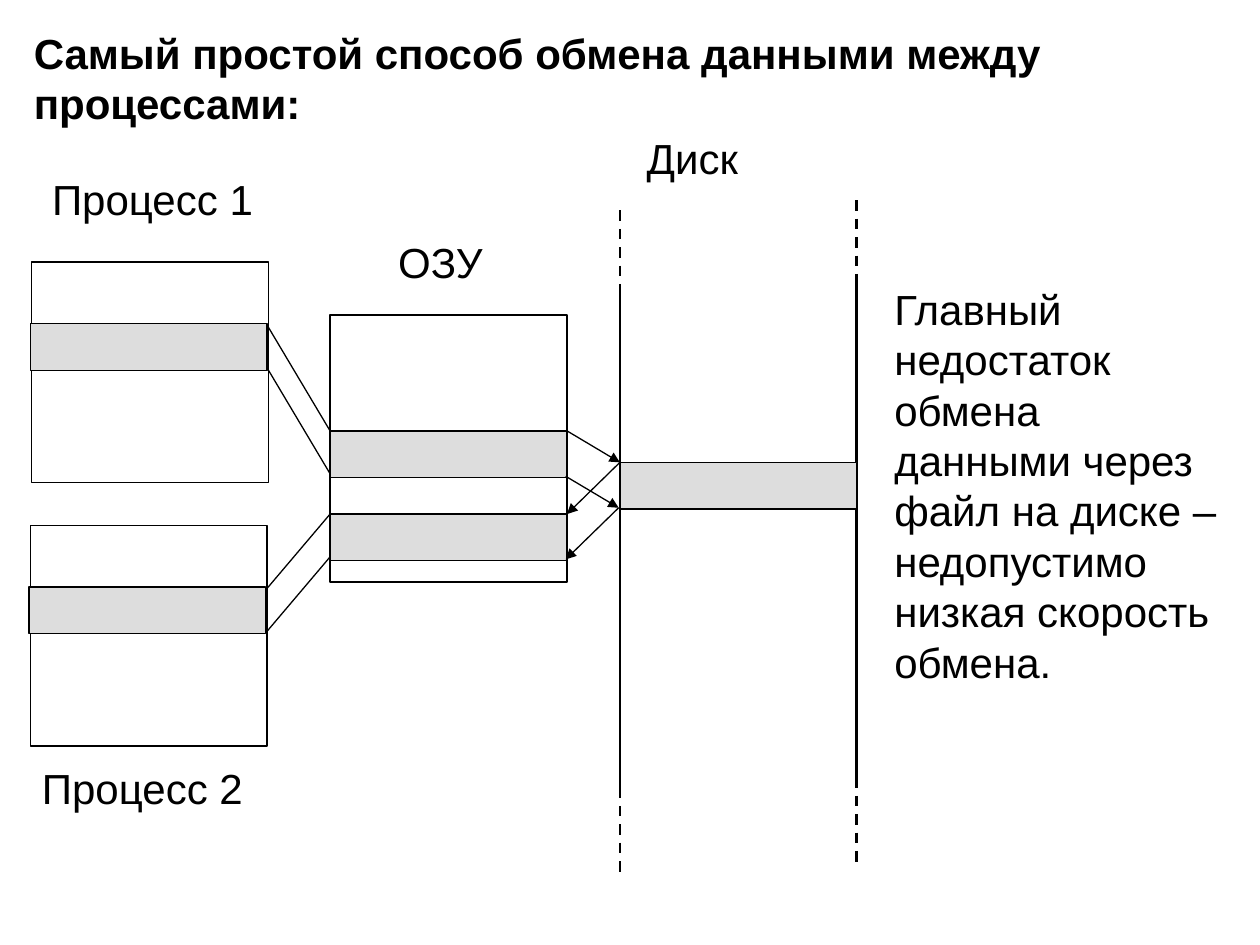
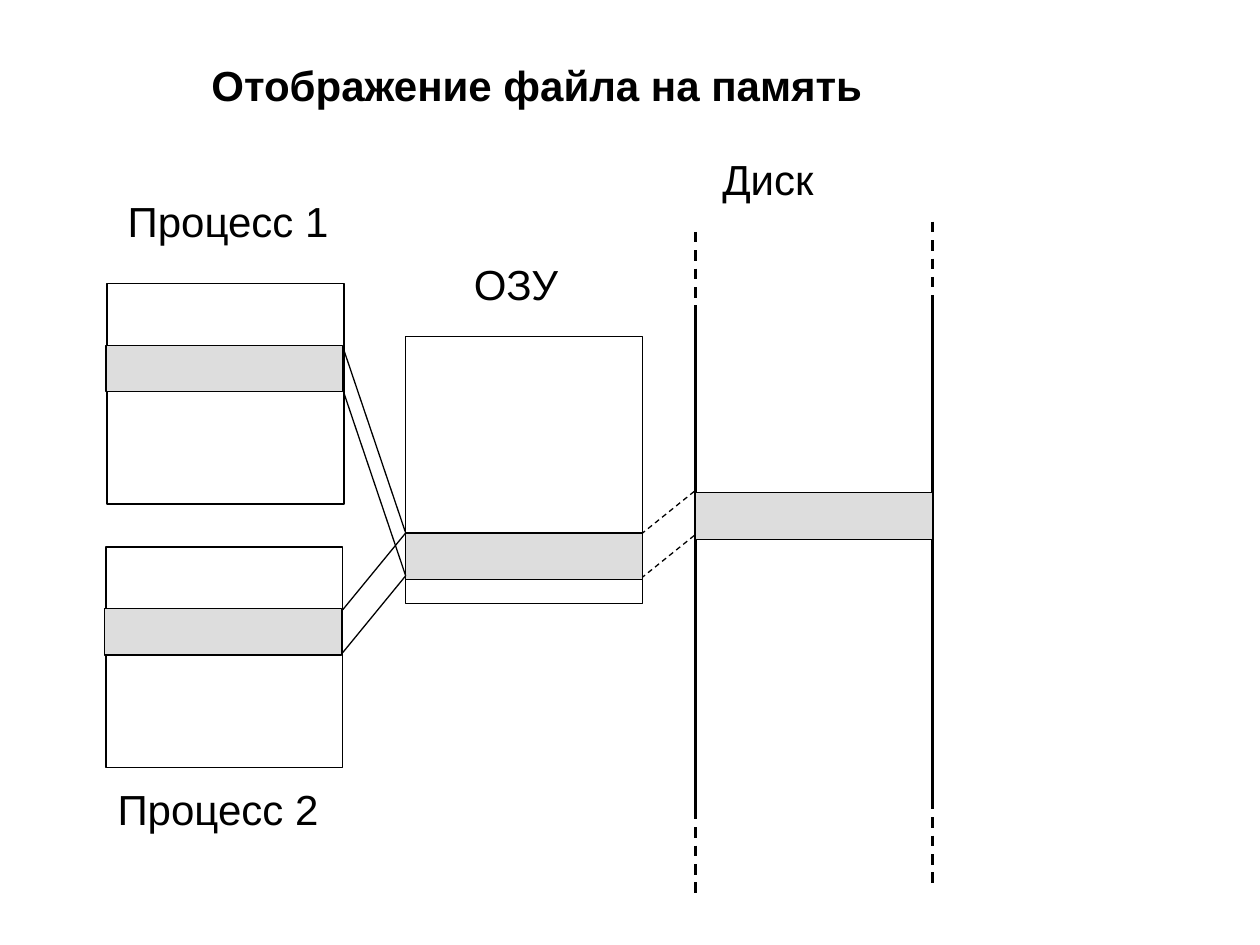
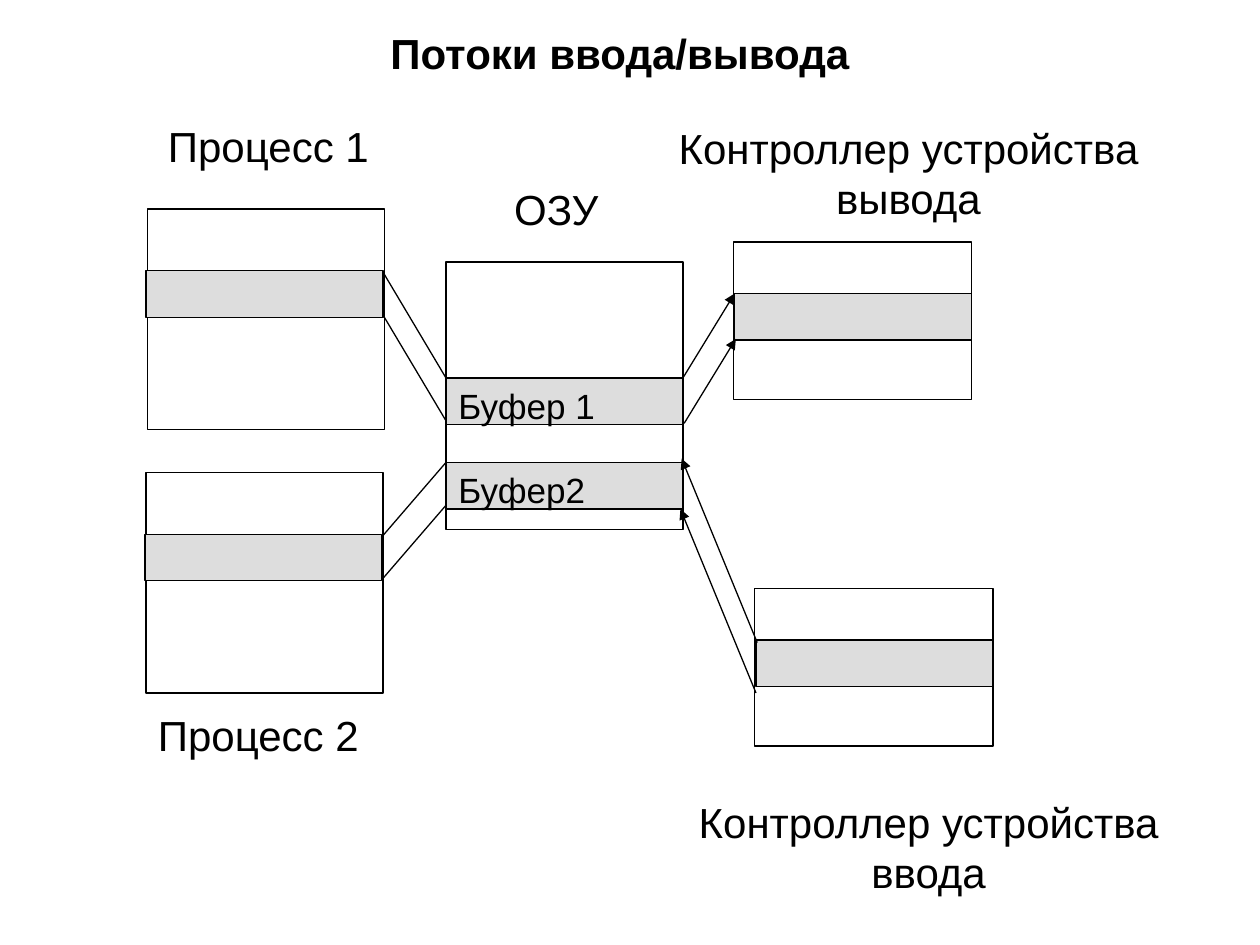
import pptx
import pptx.util
import pptx.dml.color
import pptx.enum.dml
import pptx.enum.shapes
import pptx.enum.text
import pptx.oxml.ns
import lxml.etree

Inches = pptx.util.Inches
Pt = pptx.util.Pt
RGBColor = pptx.dml.color.RGBColor
BLACK = RGBColor(0x00, 0x00, 0x00)
WHITE = RGBColor(0xFF, 0xFF, 0xFF)
GRAY = RGBColor(0xDD, 0xDD, 0xDD)
FONT = "Arial"
LEFT = pptx.enum.text.PP_ALIGN.LEFT
CENTER = pptx.enum.text.PP_ALIGN.CENTER
WIDE = 1.88
BAND = 0.37
STEP = 0.34


def box(slide, area, text="", fill=None, edge=False, size=24, bold=False, align=CENTER):
    place = [Inches(n) for n in area]
    if edge:
        shape = slide.shapes.add_shape(pptx.enum.shapes.MSO_SHAPE.RECTANGLE, *place)
        shape.shadow.inherit = False
        shape.line.color.rgb = BLACK
        shape.line.width = Pt(0.75)
        if fill is None:
            shape.fill.background()
        else:
            shape.fill.solid()
            shape.fill.fore_color.rgb = fill
    else:
        shape = slide.shapes.add_textbox(*place)
        shape.text_frame.auto_size = pptx.enum.text.MSO_AUTO_SIZE.SHAPE_TO_FIT_TEXT
    if text:
        frame = shape.text_frame
        frame.word_wrap = True
        frame.vertical_anchor = pptx.enum.text.MSO_ANCHOR.TOP
        frame.text = text
        para = frame.paragraphs[0]
        para.alignment = align
        para.space_before = Pt(size * 0.625)
        font = para.runs[0].font
        font.name = FONT
        font.size = Pt(size)
        font.bold = bold
        font.color.rgb = BLACK


def link(slide, x1, y1, x2, y2, width=0.75, dash=False, arrow=False):
    line = slide.shapes.add_connector(
        pptx.enum.shapes.MSO_CONNECTOR.STRAIGHT,
        Inches(x1), Inches(y1), Inches(x2), Inches(y2))
    line.line.color.rgb = BLACK
    line.line.width = Pt(width)
    if dash:
        line.line.dash_style = pptx.enum.dml.MSO_LINE.DASH
    props = line._element.spPr
    if arrow:
        edge = props.find(pptx.oxml.ns.qn("a:ln"))
        lxml.etree.SubElement(edge, pptx.oxml.ns.qn("a:tailEnd"), type="triangle")
    lxml.etree.SubElement(props, pptx.oxml.ns.qn("a:effectLst"))


SCENES = [
    (0, 0, "Самый простой способ обмена данными между процессами:",
     (0.17, 0.17, 9.67, 0.9), LEFT, [(3.42, ""), (4.08, "")], 3.67),
    (0.6, 0.17, "Отображение файла на память",
     (1.58, 0.42, 5.83, 0.5), LEFT, [(4.06, "")], 3.74),
    (0.92, -0.42, "Потоки ввода/вывода",
     (0.17, 0.17, 9.5, 0.5), CENTER, [(3.42, "Буфер 1"), (4.09, "Буфер2")], None),
]
LABELS = [
    ("Процесс 1", 0.25, 1.33, 1.92),
    ("Процесс 2", 0.17, 6, 1.92),
    ("ОЗУ", 2.83, 1.83, 1.33),
]

deck = pptx.Presentation()
deck.slide_width = Inches(10)
deck.slide_height = Inches(7.5)
slides = []

for dx, dy, title, area, align, bands, disk in SCENES:
    slide = deck.slides.add_slide(deck.slide_layouts[6])
    slides.append(slide)
    box(slide, area, title, bold=True, align=align)

    box(slide, (2.62 + dx, 2.5 + dy, WIDE, 2.12), fill=WHITE, edge=True)
    for top, text in bands:
        box(slide, (2.62 + dx, top + dy, WIDE, BAND), text,
            fill=GRAY, edge=True, size=20, align=LEFT)

    for left, top, goal in ((0.25, 2.08, bands[0][0]), (0.24, 4.17, bands[-1][0])):
        box(slide, (left + dx, top + dy, WIDE, 1.75), fill=WHITE, edge=True)
        box(slide, (left - 0.01 + dx, top + 0.49 + dy, WIDE, BAND), fill=GRAY, edge=True)
        for gap in (0, STEP):
            link(slide, 2.12 + dx, top + 0.5 + gap + dy, 2.62 + dx, goal + gap + dy)

    for text, left, top, width in LABELS:
        box(slide, (left + dx, top + dy, width, 0.5), text)

    if disk:
        for x, lift in ((4.92, 0), (6.8, 0.08)):
            for start, end, dash in ((2.33, 6.25, False), (6.25, 6.92, True), (1.67, 2.33, True)):
                link(slide, x + dx, start - lift + dy, x + dx, end - lift + dy, 1.5, dash)
        box(slide, (4.83 + dx, 1 + dy, 1.33, 0.5), "Диск")
        box(slide, (4.92 + dx, disk + dy, WIDE, BAND), fill=GRAY, edge=True)

simple, mapped, stream = slides

for gap, shift in ((0, 0), (0.36, -0.01)):
    link(simple, 4.5 + shift, 3.42 + gap, 4.92 + shift, 3.67 + gap, arrow=True)
    link(simple, 4.92 + shift, 3.67 + gap, 4.5 + shift, 4.08 + gap, arrow=True)
box(simple, (7, 2.2, 2.83, 3.3),
    "Главный недостаток обмена данными через файл на диске – недопустимо низкая скорость обмена.",
    align=LEFT)

for gap in (0, 0.35):
    link(mapped, 5.51, 3.9 + gap, 5.1, 4.23 + gap, dash=True)

for left, top, text, x, y in (
    (5.82, 1.92, "Контроллер устройства вывода", 5.17, 0.92),
    (5.99, 4.67, "Контроллер устройства ввода", 5.33, 6.27),
):
    box(stream, (left + 0.01, top + 0.41, WIDE, BAND), fill=GRAY, edge=True)
    box(stream, (left, top, 1.89, 1.25), edge=True)
    box(stream, (x, y, 4.08, 0.9), text)
for gap, shift in ((0, 0), (0.36, 0.01)):
    link(stream, 5.42 + shift, 3 + gap, 5.83 + shift, 2.33 + gap, arrow=True)
for gap, shift in ((0, 0), (0.4, -0.01)):
    link(stream, 6.01 + shift, 5.1 + gap, 5.41 + shift, 3.64 + gap, arrow=True)

deck.save("out.pptx")
